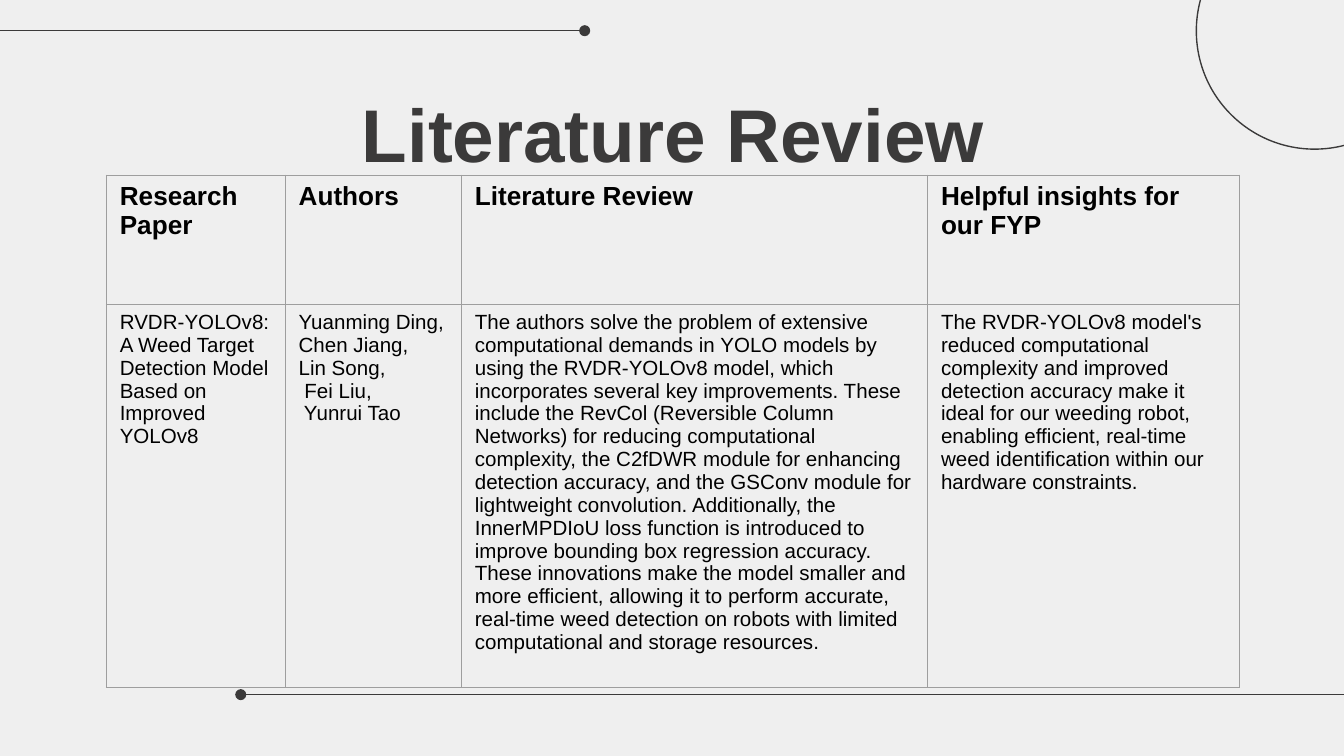
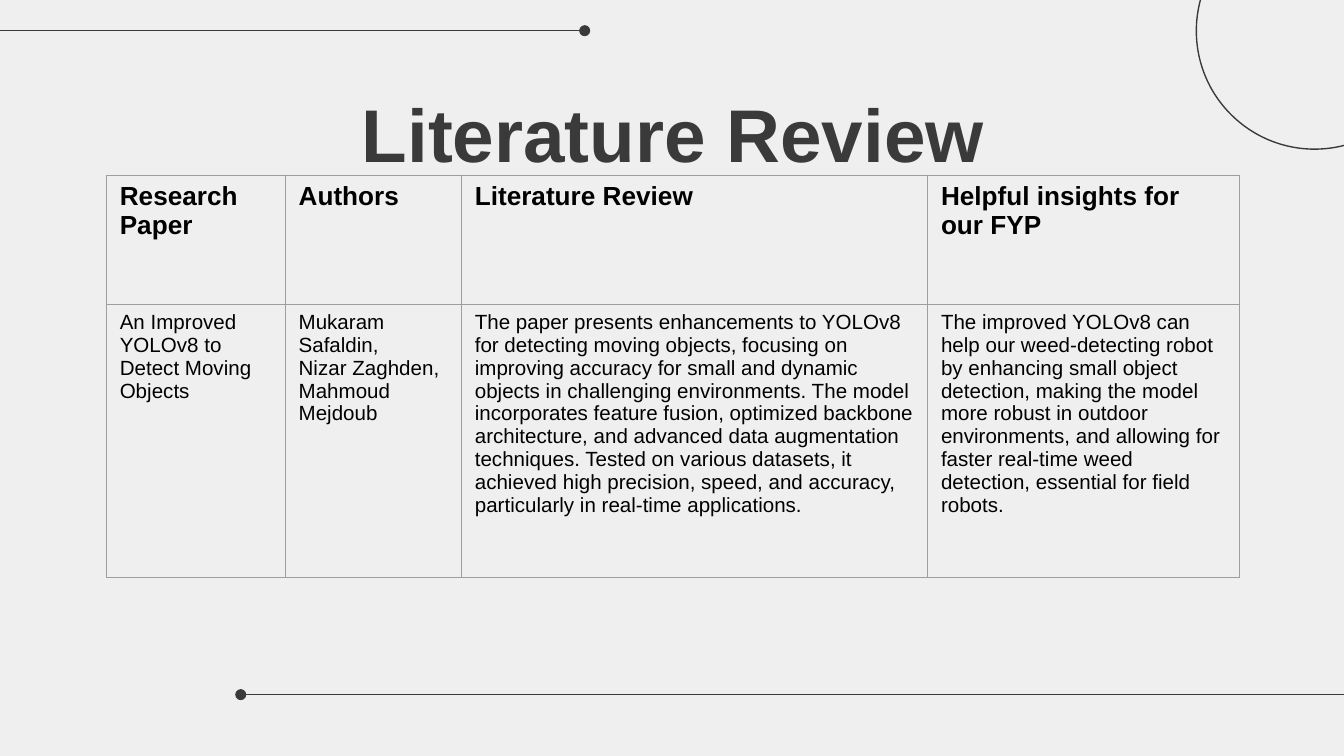
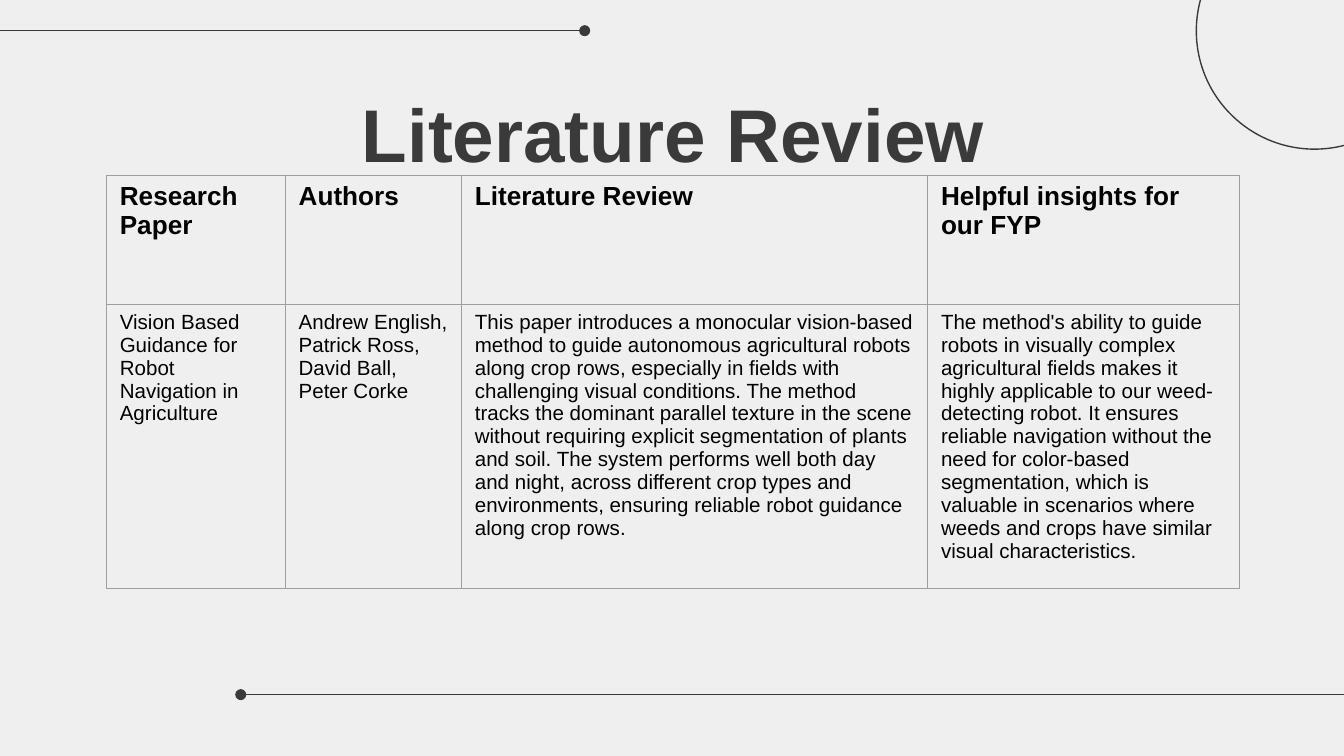
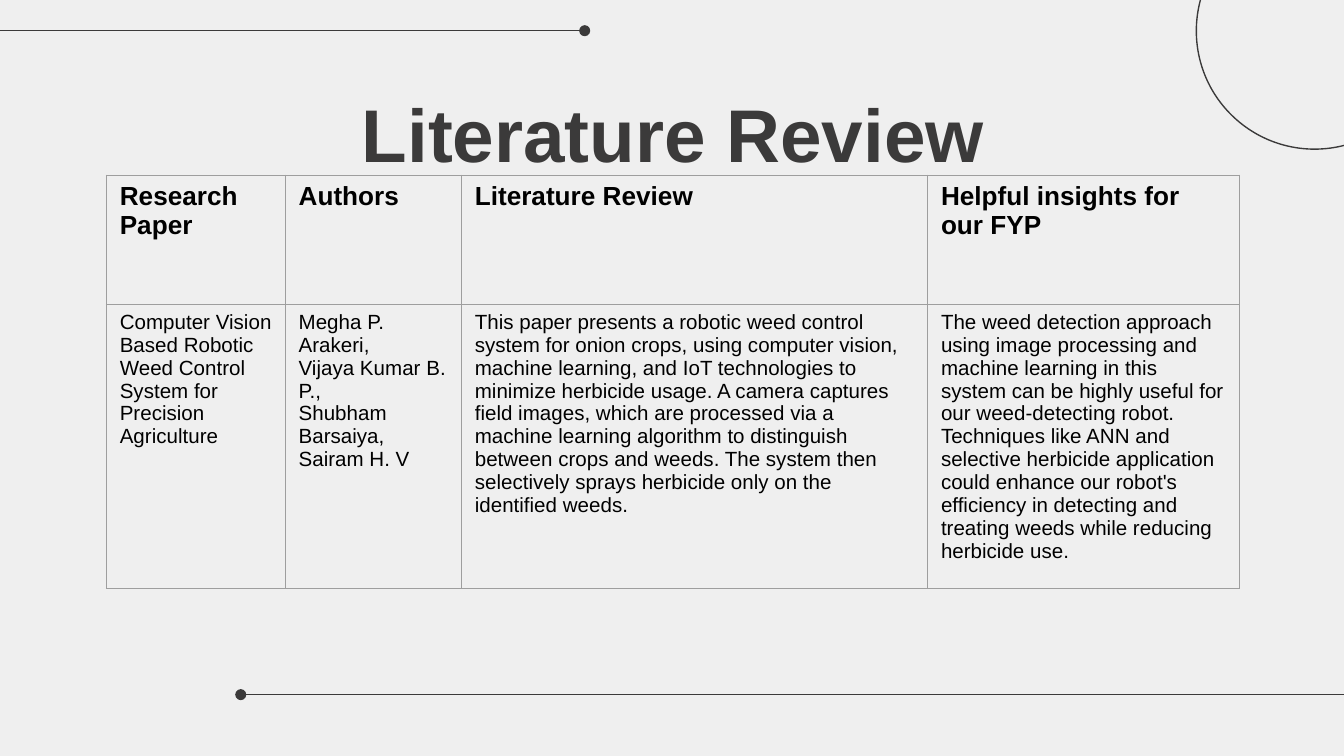
from dataclasses import dataclass

from lxml.etree import SubElement
from pptx import Presentation
from pptx.dml.color import RGBColor
from pptx.enum.shapes import MSO_CONNECTOR as Connector, MSO_SHAPE as Preset
from pptx.enum.text import MSO_ANCHOR as Anchor, PP_ALIGN as Align
from pptx.oxml.ns import qn
from pptx.util import Cm, Pt

COLORS = {
    "background": "EFEFEF",
    "ink": "3B3A3A",
    "table_text": "000000",
    "border": "9E9E9E",
}
FONT = "Arial"
LINE_WIDTH = Pt(0.75)
TITLE = "Literature Review"
HEADERS = ("Research Paper", "Authors", "Literature Review", "Helpful insights for our FYP")
LEFT, CONTENT_WIDTH = Cm(2.01), Cm(21.41)
COLUMN_WIDTHS = (Cm(3.38), Cm(3.33), Cm(8.81), Cm(5.89))
ROW_HEIGHTS = (Cm(2.44), Cm(5.16))


@dataclass(frozen=True)
class DottedLine:
    """A horizontal rule with a round dot at one end."""
    start: Cm
    end: Cm
    top: Cm
    dot_tag: str


@dataclass(frozen=True)
class Paper:
    name: str
    authors: tuple[str, ...]
    review: str
    insights: str


DOTTED_LINES = (
    DottedLine(Cm(4.55), Cm(27.58), Cm(13.13), "a:headEnd"),
    DottedLine(Cm(0), Cm(11.05), Cm(0.58), "a:tailEnd"),
)

PAPERS = (
    Paper(
        "RVDR-YOLOv8: A Weed Target Detection Model Based on Improved YOLOv8",
        ("Yuanming Ding, Chen Jiang,", "Lin Song,", " Fei Liu,", " Yunrui Tao"),
        "The authors solve the problem of extensive computational demands in YOLO models by "
        "using the RVDR-YOLOv8 model, which incorporates several key improvements. These "
        "include the RevCol (Reversible Column Networks) for reducing computational "
        "complexity, the C2fDWR module for enhancing detection accuracy, and the GSConv "
        "module for lightweight convolution. Additionally, the InnerMPDIoU loss function is "
        "introduced to improve bounding box regression accuracy. These innovations make the "
        "model smaller and more efficient, allowing it to perform accurate, real-time weed "
        "detection on robots with limited computational and storage resources.",
        "The RVDR-YOLOv8 model's reduced computational complexity and improved detection "
        "accuracy make it ideal for our weeding robot, enabling efficient, real-time weed "
        "identification within our hardware constraints.",
    ),
    Paper(
        "An Improved YOLOv8 to Detect Moving Objects",
        ("Mukaram Safaldin,", "Nizar Zaghden, Mahmoud Mejdoub"),
        "The paper presents enhancements to YOLOv8 for detecting moving objects, focusing on "
        "improving accuracy for small and dynamic objects in challenging environments. The "
        "model incorporates feature fusion, optimized backbone architecture, and advanced "
        "data augmentation techniques. Tested on various datasets, it achieved high "
        "precision, speed, and accuracy, particularly in real-time applications.",
        "The improved YOLOv8 can help our weed-detecting robot by enhancing small object "
        "detection, making the model more robust in outdoor environments, and allowing for "
        "faster real-time weed detection, essential for field robots.",
    ),
    Paper(
        "Vision Based Guidance for Robot Navigation in Agriculture",
        ("Andrew English, Patrick Ross, David Ball, Peter Corke",),
        "This paper introduces a monocular vision-based method to guide autonomous "
        "agricultural robots along crop rows, especially in fields with challenging visual "
        "conditions. The method tracks the dominant parallel texture in the scene without "
        "requiring explicit segmentation of plants and soil. The system performs well both "
        "day and night, across different crop types and environments, ensuring reliable "
        "robot guidance along crop rows.",
        "The method's ability to guide robots in visually complex agricultural fields makes "
        "it highly applicable to our weed-detecting robot. It ensures reliable navigation "
        "without the need for color-based segmentation, which is valuable in scenarios where "
        "weeds and crops have similar visual characteristics.",
    ),
    Paper(
        "Computer Vision Based Robotic Weed Control System for Precision Agriculture",
        ("Megha P. Arakeri,", "Vijaya Kumar B. P.,", "Shubham Barsaiya,", "Sairam H. V"),
        "This paper presents a robotic weed control system for onion crops, using computer "
        "vision, machine learning, and IoT technologies to minimize herbicide usage. A camera "
        "captures field images, which are processed via a machine learning algorithm to "
        "distinguish between crops and weeds. The system then selectively sprays herbicide "
        "only on the identified weeds.",
        "The weed detection approach using image processing and machine learning in this "
        "system can be highly useful for our weed-detecting robot. Techniques like ANN and "
        "selective herbicide application could enhance our robot's efficiency in detecting "
        "and treating weeds while reducing herbicide use.",
    ),
)


def color(name: str) -> RGBColor:
    return RGBColor.from_string(COLORS[name])


def style_line(line) -> None:
    line.color.rgb = color("ink")
    line.width = LINE_WIDTH


def add_run(paragraph, text: str, size: float, color_name: str, bold: bool) -> None:
    run = paragraph.add_run()
    run.text = text
    run.font.name = FONT
    run.font.size = Pt(size)
    run.font.bold = bold
    run.font.color.rgb = color(color_name)


def add_dotted_line(slide, dotted_line: DottedLine) -> None:
    connector = slide.shapes.add_connector(
        Connector.STRAIGHT, dotted_line.start, dotted_line.top, dotted_line.end, dotted_line.top
    )
    style_line(connector.line)
    SubElement(connector.line._get_or_add_ln(), qn(dotted_line.dot_tag), type="oval")
    SubElement(connector._element.spPr, qn("a:effectLst"))


def add_decoration(slide) -> None:
    circle = slide.shapes.add_shape(Preset.OVAL, Cm(22.61), Cm(-1.65), Cm(4.47), Cm(4.47))
    circle.shadow.inherit = False
    circle.fill.background()
    style_line(circle.line)
    for dotted_line in DOTTED_LINES:
        add_dotted_line(slide, dotted_line)


def add_title(slide) -> None:
    frame = slide.shapes.add_textbox(LEFT, Cm(1.3), CONTENT_WIDTH, Cm(2.41)).text_frame
    frame.word_wrap = True
    frame.vertical_anchor = Anchor.MIDDLE
    frame.margin_left = frame.margin_right = Cm(0.25)
    frame.margin_top = frame.margin_bottom = Cm(0.25)
    paragraph = frame.paragraphs[0]
    paragraph.alignment = Align.CENTER
    add_run(paragraph, TITLE, 40, "ink", bold=True)


def add_borders(cell) -> None:
    properties = cell._tc.get_or_add_tcPr()
    for side in "LRTB":
        border = SubElement(properties, qn(f"a:ln{side}"), w=str(LINE_WIDTH))
        fill = SubElement(border, qn("a:solidFill"))
        SubElement(fill, qn("a:srgbClr"), val=COLORS["border"])


def fill_cell(cell, lines: tuple[str, ...], is_header: bool) -> None:
    add_borders(cell)
    cell.fill.background()
    frame = cell.text_frame
    for index, line in enumerate(lines):
        paragraph = frame.add_paragraph() if index else frame.paragraphs[0]
        add_run(paragraph, line, 14 if is_header else 11, "table_text", bold=is_header)


def add_paper_table(slide, paper: Paper) -> None:
    rows = (
        [(header,) for header in HEADERS],
        [(paper.name,), paper.authors, (paper.review,), (paper.insights,)],
    )
    table = slide.shapes.add_table(
        len(rows), len(HEADERS), LEFT, Cm(3.31), CONTENT_WIDTH, sum(ROW_HEIGHTS)
    ).table
    table.first_row = table.horz_banding = False
    for column, width in zip(table.columns, COLUMN_WIDTHS):
        column.width = width
    for row_index, (row, height) in enumerate(zip(rows, ROW_HEIGHTS)):
        table.rows[row_index].height = height
        for column_index, lines in enumerate(row):
            fill_cell(table.cell(row_index, column_index), lines, is_header=row_index == 0)


def main() -> None:
    presentation = Presentation()
    presentation.slide_width, presentation.slide_height = Cm(25.4), Cm(14.29)
    background = presentation.slide_master.background.fill
    background.solid()
    background.fore_color.rgb = color("background")
    blank_layout = presentation.slide_layouts[6]
    for paper in PAPERS:
        slide = presentation.slides.add_slide(blank_layout)
        add_decoration(slide)
        add_title(slide)
        add_paper_table(slide, paper)
    presentation.save("out.pptx")


if __name__ == "__main__":
    main()
